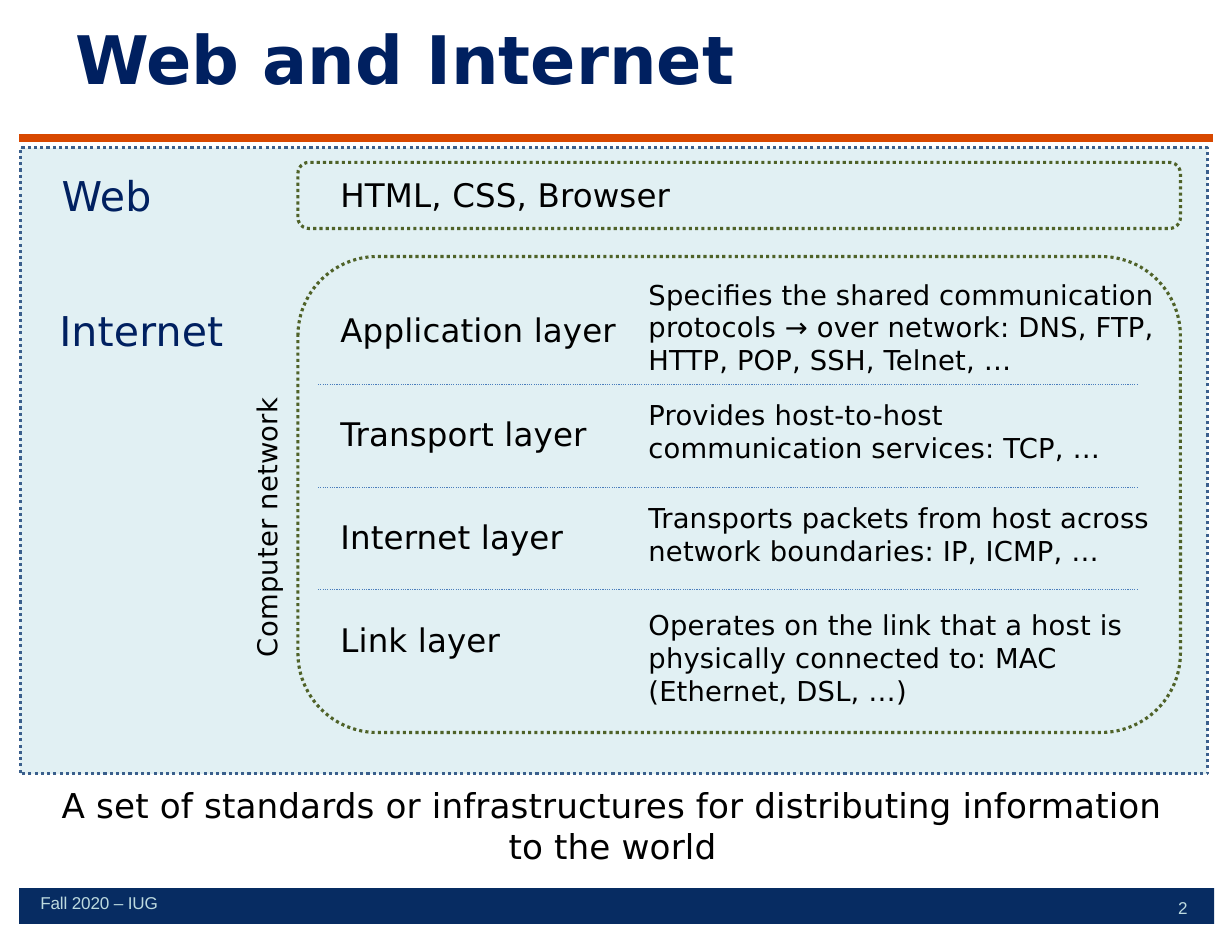
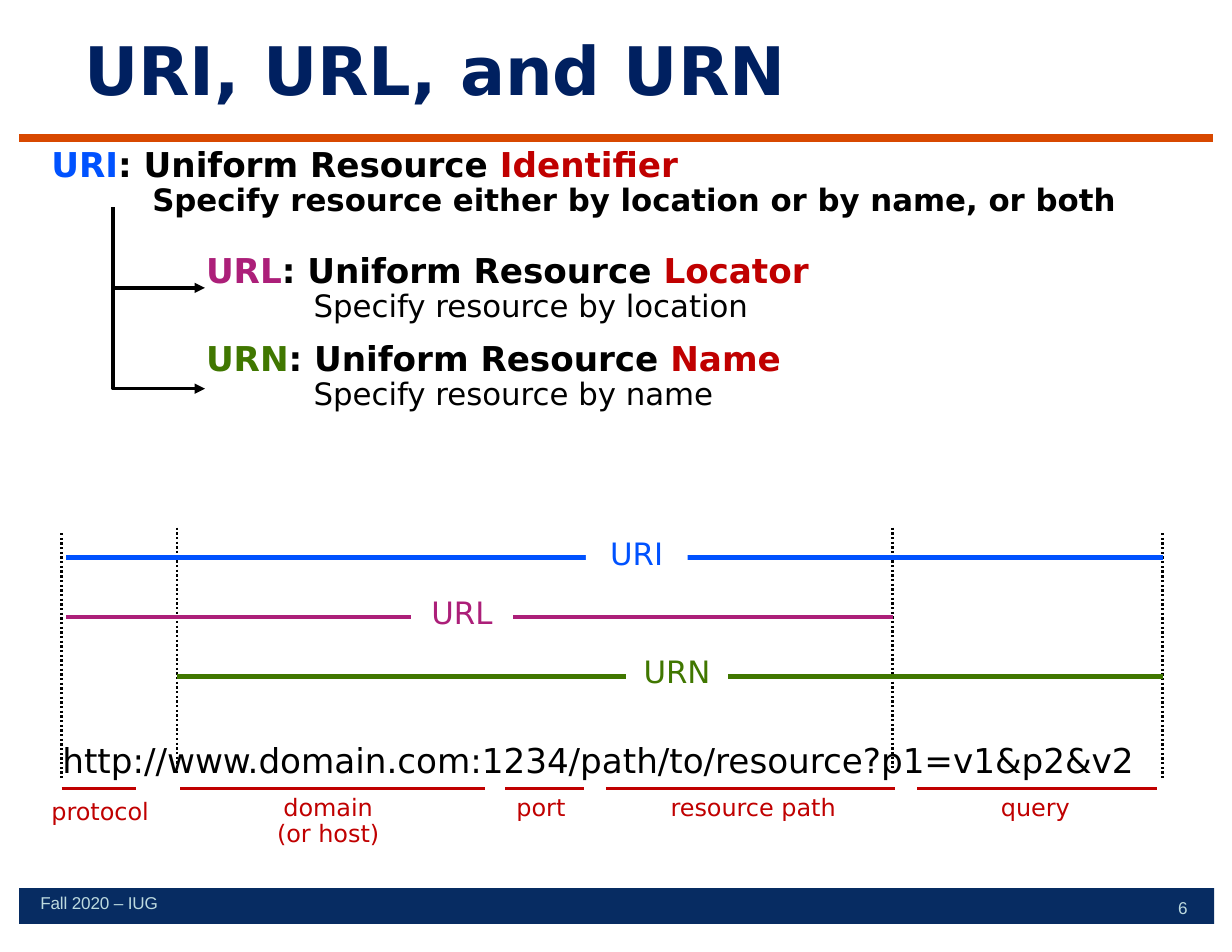
from lxml.etree import SubElement
from pptx import Presentation
from pptx.dml.color import RGBColor
from pptx.enum.dml import MSO_LINE
from pptx.enum.shapes import MSO_CONNECTOR, MSO_SHAPE
from pptx.enum.text import MSO_ANCHOR, MSO_AUTO_SIZE, PP_ALIGN
from pptx.oxml.ns import qn
from pptx.util import Inches, Pt

# Shared look
HUE = {
    "navy": "002060", "band": "072C62", "rule": "D84800", "foot": "BDDADF",
    "black": "000000", "white": "FFFFFF", "pale": "E1F0F3", "frame": "3A5F8C",
    "moss": "4F6228", "sky": "4B7EBC", "blue": "0052FF", "plum": "AC1F79",
    "green": "407700", "red": "C00000",
}
FONT = "DejaVu Sans"
TERM = "Fall 2020 – IUG"
PAD = (0.11, 0.06)
LEFT, MID = PP_ALIGN.LEFT, PP_ALIGN.CENTER

# Web and Internet: text, place, size, colour
HEADS = [
    ("Web", (0.44, 1.46, 1.93, 0.59), 26.4, "navy"),
    ("HTML, CSS, Browser", (2.93, 1.5, 4.95, 0.55), 20.9, "black"),
    ("Internet", (0.42, 2.67, 2.6, 0.59), 26.4, "navy"),
]
# Layer name, its duty, space before the duty
LAYERS = [
    ("Application layer", "Specifies the shared communication protocols → over "
     "network: DNS, FTP, HTTP, POP, SSH, Telnet, …", 7.7),
    ("Transport layer",
     "Provides host-to-host communication services: TCP, …", 14),
    ("Internet layer", "Transports packets from host across network "
     "boundaries: IP, ICMP, …", 24.2),
    ("Link layer", "Operates on the link that a host is physically connected "
     "to: MAC (Ethernet, DSL, …)", 26.4),
]
SPLITS = [3.43, 4.35, 5.26]
RINGS = [(2.66, 2.29, 7.88, 4.25), (2.66, 1.45, 7.88, 0.59)]
GOAL = ("A set of standards or infrastructures for distributing information "
        "to the world")

# URI, URL, and URN: name, colour, last word, indent, space before,
# then the note with its indent and weight
TERMS = [
    ("URI", "blue", "Identifier", 0, 0,
     "Specify resource either by location or by name, or both", 0.9, True),
    ("URL", "plum", "Locator", 1.38, 23,
     "Specify resource by location", 2.34, False),
    ("URN", "green", "Name", 1.38, 11.5,
     "Specify resource by name", 2.34, False),
]
ADDRESS = "http://www.domain.com:1234/path/to/resource?p1=v1&p2&v2"
# Part of the address, line start and end, label left, top and width
PARTS = [
    (["protocol"], 0.55, 1.21, 0.31, 7.09, 1.17),
    (["domain", "(or host)"], 1.61, 4.33, 2.29, 7.06, 1.28),
    (["port"], 4.51, 5.21, 4.19, 7.06, 1.28),
    (["resource path"], 5.41, 7.99, 5.84, 7.06, 1.77),
    (["query"], 8.19, 10.33, 8.36, 7.06, 1.77),
]
GUIDES = [(0.55, 4.76), (10.38, 4.76), (1.58, 4.71), (7.97, 4.71)]
# Name, colour, start, end, height, label left
SPANS = [
    ("URI", "blue", 0.59, 10.38, 4.98, 5.23),
    ("URL", "plum", 0.59, 7.97, 5.51, 3.67),
    ("URN", "green", 1.58, 10.38, 6.04, 5.59),
]


def tint(name):
    return RGBColor.from_string(HUE[name])


def style(line, hue, width, dots=False):
    line.color.rgb = tint(hue)
    line.width = Pt(width)
    if dots:
        line.dash_style = MSO_LINE.ROUND_DOT


def text(host, paras, size=20, hue="black", bold=False, font=FONT, align=LEFT,
         before=0, after=0, lead=None, indent=0, track=0, pad=(0.1, 0.05),
         anchor=MSO_ANCHOR.TOP):
    """Fill a shape; a paragraph is a string or (runs, own format)."""
    frame = host.text_frame
    frame.word_wrap = True
    frame.auto_size = MSO_AUTO_SIZE.NONE
    frame.vertical_anchor = anchor
    frame.margin_left = frame.margin_right = Inches(pad[0])
    frame.margin_top = frame.margin_bottom = Inches(pad[1])
    for i, item in enumerate(paras):
        runs, own = ([(item, hue)], {}) if isinstance(item, str) else item
        para = frame.paragraphs[0] if i == 0 else frame.add_paragraph()
        para.alignment = align
        para.space_before = Pt(own.get("before", before))
        para.space_after = Pt(after)
        if lead:
            para.line_spacing = lead
        inset = own.get("indent", indent)
        if inset:
            para._p.get_or_add_pPr().set("marL", str(Inches(inset)))
        for words, shade in runs:
            run = para.add_run()
            run.text = words
            run.font.name = font
            run.font.size = Pt(own.get("size", size))
            run.font.bold = own.get("bold", bold)
            run.font.color.rgb = tint(shade)
            if track:
                run._r.get_or_add_rPr().set("spc", str(round(track * 100)))
    return host


def area(slide, place):
    return slide.shapes.add_textbox(*map(Inches, place))


def block(slide, place, fill=None, edge=None, kind=MSO_SHAPE.RECTANGLE):
    shape = slide.shapes.add_shape(kind, *map(Inches, place))
    shape.shadow.inherit = False
    if fill:
        shape.fill.solid()
        shape.fill.fore_color.rgb = tint(fill)
    else:
        shape.fill.background()
    if edge:
        style(shape.line, edge, 2, dots=True)
    else:
        shape.line.fill.background()
    return shape


def link(slide, ends, hue, width, dots=False, kind=MSO_CONNECTOR.STRAIGHT):
    line = slide.shapes.add_connector(kind, *map(Inches, ends))
    style(line.line, hue, width, dots)
    SubElement(line._element.spPr, qn("a:effectLst"))
    return line


def elbow(slide, ends):
    """Arrow that runs straight down, then right."""
    line = link(slide, ends, "black", 2.25, kind=MSO_CONNECTOR.ELBOW)
    props = line._element.spPr
    geom = props.find(qn("a:prstGeom"))
    guides = geom.find(qn("a:avLst"))
    if guides is None:
        guides = SubElement(geom, qn("a:avLst"))
    SubElement(guides, qn("a:gd"), name="adj1", fmla="val 0")
    SubElement(props.find(qn("a:ln")), qn("a:tailEnd"), type="triangle")


def start(deck, title, place, page):
    """New slide with title, rule, band and footer."""
    slide = deck.slides.add_slide(deck.slide_layouts[5])
    head = slide.shapes.title
    head.left, head.top, head.width, head.height = map(Inches, place)
    text(head, [title], size=43, hue="navy", bold=True, pad=(0, 0))
    block(slide, (0.17, 7.93, 10.67, 0.32), "band")
    link(slide, (0.17, 1.23, 10.83, 1.23), "rule", 5)
    foot = dict(size=11, hue="foot", font="Arial", lead=Pt(13.2), pad=(0, 0))
    text(area(slide, (0.35, 7.97, 2.34, 0.2)), [TERM], indent=0.01,
         track=-0.1, **foot)
    text(area(slide, (10.49, 8.01, 0.14, 0.2)), [page], indent=0.03, **foot)
    return slide


def layers(deck):
    slide = start(deck, "Web and Internet", (0.67, 0.16, 7.22, 1.65), "2")
    base = dict(track=0.1, pad=PAD)
    loose = dict(before=13.2, after=2, **base)
    text(area(slide, (0.28, 6.82, 10.38, 1.1)), [GOAL], size=22, align=MID,
         anchor=MSO_ANCHOR.MIDDLE, **loose)

    # Panel and headings
    block(slide, (0.18, 1.32, 10.6, 5.59), "pale", "frame")
    for words, place, size, hue in HEADS:
        text(area(slide, place), [words], size=size, hue=hue, **loose)

    # Layer names and duties
    names = [([(name, "black")], {"before": 41.4 if i else 7.7})
             for i, (name, _, _) in enumerate(LAYERS)]
    duties = [([(duty, "black")], {"before": gap}) for _, duty, gap in LAYERS]
    text(area(slide, (2.93, 2.71, 4.03, 4.24)), names, size=20.9, **base)
    text(area(slide, (5.68, 2.42, 4.75, 4.24)), duties, size=17.6, **base)

    # Outlines and dividers
    for ring in RINGS:
        block(slide, ring, edge="moss", kind=MSO_SHAPE.ROUNDED_RECTANGLE)
    for y in SPLITS:
        link(slide, (2.84, y, 10.16, y), "sky", 0.75, dots=True)
    side = area(slide, (0.74, 4.16, 3.28, 1.1))
    side.rotation = 270
    text(side, ["Computer network"], size=17.6, align=MID,
         anchor=MSO_ANCHOR.MIDDLE, **loose)


def names(deck):
    slide = start(deck, "URI, URL, and URN", (0.75, 0.26, 7.14, 1.56), "6")

    # Definitions
    paras = []
    for name, hue, last, indent, gap, note, inset, bold in TERMS:
        runs = [(name, hue), (": Uniform Resource ", "black"), (last, "red")]
        paras.append((runs, dict(indent=indent, before=gap, bold=True)))
        paras.append(([(note, "black")],
                      dict(indent=inset, size=19.8, bold=bold)))
    text(area(slide, (0.46, 1.32, 9.9, 4.31)), paras, size=22, lead=0.9,
         pad=(0, 0))
    for y in (2.57, 3.47):
        elbow(slide, (1.01, 1.85, 1.83, y))

    # Address and its parts
    text(area(slide, (0.46, 6.59, 10.27, 0.43)), [ADDRESS], size=22, lead=0.9)
    for words, x, end, left, top, width in PARTS:
        link(slide, (x, 7.04, end, 7.04), "red", 2)
        text(area(slide, (left, top, width, 0.09 + 0.24 * len(words))), words,
             size=15.4, hue="red", align=MID, lead=0.9)

    # Reach of each name
    for x, y in GUIDES:
        link(slide, (x, y, x, y + 2.2), "black", 1.5, dots=True)
    for name, hue, x, end, y, left in SPANS:
        link(slide, (x, y, end, y), hue, 3)
        text(block(slide, (left, y - 0.22, 0.91, 0.4), "white"), [name],
             size=19.8, hue=hue, align=MID, lead=0.9)


def main():
    deck = Presentation()
    deck.slide_width, deck.slide_height = Inches(11), Inches(8.5)
    layers(deck)
    names(deck)
    deck.save("out.pptx")


if __name__ == "__main__":
    main()
